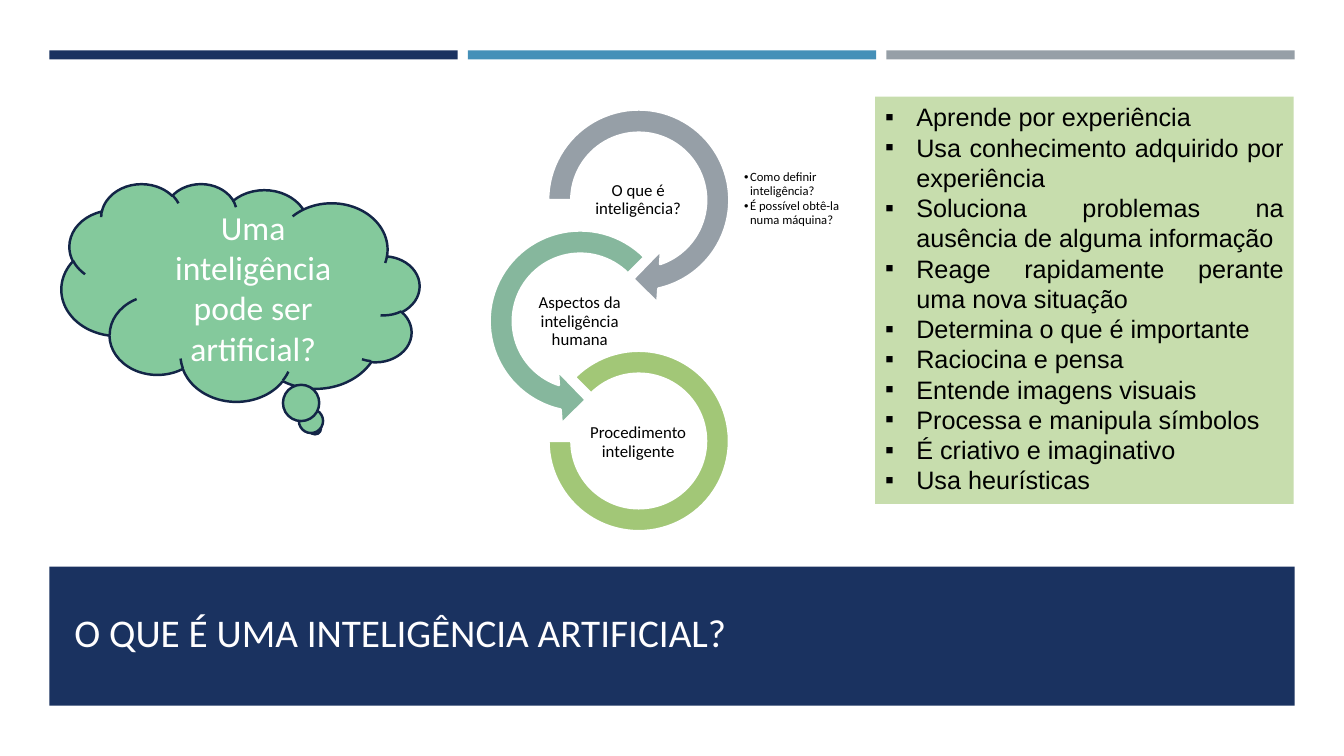
from lxml import etree
from pptx import Presentation, util as u
from pptx.dml.color import RGBColor
from pptx.enum import shapes, text
from pptx.oxml.ns import qn

CELL = u.Inches(0.01)  # the slide is a grid of 1333 columns by 750 rows
COLS, ROWS = 1333, 750
MARGIN, CONTENT_W = 49, 1235
NAVY, BLUE, GREY, WHITE, BLACK = "1A3260", "4590B8", "969FA7", "FFFFFF", "000000"
KIND = shapes.MSO_SHAPE
ALIGN, ANCHOR = text.PP_ALIGN, text.MSO_ANCHOR

BULLETS = [
    "Aprende por experiência",
    "Usa conhecimento adquirido por experiência",
    "Soluciona problemas na ausência de alguma informação",
    "Reage rapidamente perante uma nova situação",
    "Determina o que é importante",
    "Raciocina e pensa",
    "Entende imagens visuais",
    "Processa e manipula símbolos",
    "É criativo e imaginativo",
    "Usa heurísticas",
]
QUESTIONS = ["Como definir inteligência?", "É possível obtê-la numa máquina?"]
# kind, left, top, size, adjustments, colour, label left, label top, label
RINGS = [
    (KIND.CIRCULAR_ARROW, 58, 0, 209, (0.11, 11.423, 45, 108, 0.125), GREY,
     104, 75, "O que é inteligência?"),
    (KIND.LEFT_CIRCULAR_ARROW, 0, 120, 209, (0.11, 11.423, 63, 189, 0.125), "86B79D",
     46, 196, "Aspectos da inteligência humana"),
    (KIND.BLOCK_ARC, 73, 254, 179, (135, 108, 0.127), "A2C777",
     104, 316, "Procedimento inteligente"),
]


def rgb(colour):
    return RGBColor.from_string(colour)


def cells(box):
    return [round(v * CELL) for v in box]


def add_shape(slide, kind, box, fill, line=None, adjustments=()):
    s = slide.shapes.add_shape(kind, *cells(box))
    s.shadow.inherit = False
    s.fill.solid()
    s.fill.fore_color.rgb = rgb(fill)
    if line:
        s.line.color.rgb = rgb(line)
        s.line.width = u.Pt(1.75)
    else:
        s.line.fill.background()
    for i, value in enumerate(adjustments):
        s.adjustments[i] = value
    return s


def add_bullet(p, char, indent):
    pPr = p._p.get_or_add_pPr()
    pPr.set("marL", str(indent * CELL))
    pPr.set("indent", str(-indent * CELL))
    etree.SubElement(pPr, qn("a:buFont")).set("typeface", "Arial")
    etree.SubElement(pPr, qn("a:buChar")).set("char", char)


def write(s, lines, size, colour, font="Calibri", anchor=ANCHOR.MIDDLE,
          inset=None, bullet=None, **paragraph_format):
    """Fill a shape with one paragraph per line; bullet is (char, indent)."""
    tf = s.text_frame
    tf.word_wrap = True
    tf.vertical_anchor = anchor
    if inset is not None:
        for side in ("left", "top", "right", "bottom"):
            setattr(tf, f"margin_{side}", inset * CELL)
    for i, line in enumerate(lines):
        p = tf.add_paragraph() if i else tf.paragraphs[0]
        if bullet:
            add_bullet(p, *bullet)
        for name, value in paragraph_format.items():
            setattr(p, name, value)
        r = p.add_run()
        r.text = line
        for name, value in {"name": font, "size": u.Pt(size)}.items():
            setattr(r.font, name, value)
        r.font.color.rgb = rgb(colour)


def add_text(slide, box, lines, size, colour, **options):
    write(slide.shapes.add_textbox(*cells(box)), lines, size, colour, **options)


def add_top_bars(slide, box, gap=10):
    x, y, w, h = box
    colours = (NAVY, BLUE, GREY)
    bar = (w - gap * (len(colours) - 1)) / len(colours)
    for i, colour in enumerate(colours):
        add_shape(slide, KIND.RECTANGLE, (x + i * (bar + gap), y, bar, h), colour)


def add_title_band(slide, box, title):
    x, y, w, h = box
    add_shape(slide, KIND.RECTANGLE, box, NAVY)
    add_text(slide, (x + 15, y + 14, w - 29, 79), [title], 28, "FFFEFF",
             anchor=ANCHOR.BOTTOM)


def add_cycle(slide, box):
    """Three linked rings with labels, and the questions beside the first."""
    x, y, w, h = box
    for kind, left, top, size, adj, colour, label_x, label_y, label in RINGS:
        add_shape(slide, kind, (x + left, y + top, size, size), colour, WHITE, adj)
        add_text(slide, (x + label_x, y + label_y, 116, 58), [label], 12, BLACK,
                 inset=1, alignment=ALIGN.CENTER, line_spacing=0.9)
    add_text(slide, (x + w - 125, y + 62, 125, 83), QUESTIONS, 9, BLACK, inset=1,
             bullet=("•", 6), line_spacing=0.9, space_after=u.Pt(1.4))


def add_traits(slide, box):
    s = add_shape(slide, KIND.RECTANGLE, box, "C7DDAD")
    write(s, BULLETS, 18, BLACK, font="Arial", anchor=ANCHOR.TOP,
          bullet=("▪", 31), alignment=ALIGN.JUSTIFY)
    s.text_frame.auto_size = text.MSO_AUTO_SIZE.SHAPE_TO_FIT_TEXT


def add_thought(slide, box, question):
    s = add_shape(slide, KIND.CLOUD_CALLOUT, box, "84C99C", "132547")
    s.element.spPr.get_or_add_xfrm().set("flipH", "1")
    write(s, [question], 24, WHITE, alignment=ALIGN.CENTER)


def main():
    prs = Presentation()
    prs.slide_width, prs.slide_height = COLS * CELL, ROWS * CELL
    slide = prs.slides.add_slide(prs.slide_layouts[6])
    add_top_bars(slide, (MARGIN, 50, CONTENT_W, 10))
    add_shape(slide, KIND.RECTANGLE, (0, 59, COLS, ROWS - 59), WHITE)
    add_title_band(slide, (MARGIN, 562, CONTENT_W, 138),
                   "O QUE É UMA INTELIGÊNCIA ARTIFICIAL?")
    add_cycle(slide, (471, 94, 391, 433))
    add_traits(slide, (868, 96, 415, 404))
    add_thought(slide, (61, 182, 355, 216), "Uma inteligência pode ser artificial?")
    prs.save("out.pptx")


if __name__ == "__main__":
    main()
